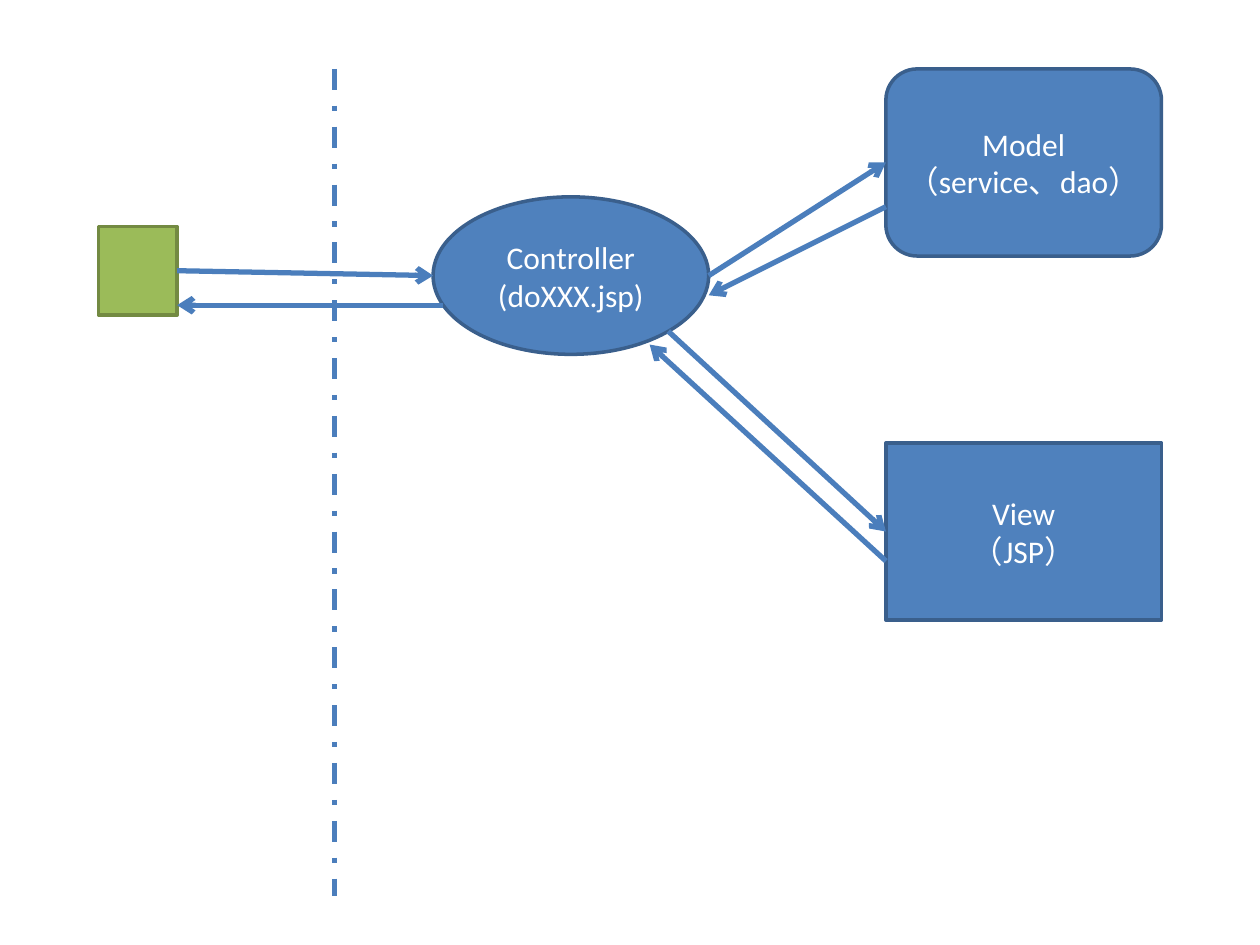
from lxml.etree import SubElement
from pptx import Presentation
from pptx.dml.color import RGBColor
from pptx.enum.dml import MSO_LINE
from pptx.enum.shapes import MSO_CONNECTOR, MSO_SHAPE
from pptx.enum.text import MSO_ANCHOR, PP_ALIGN
from pptx.oxml.ns import qn
from pptx.util import Pt

BLUE = RGBColor(0x4F, 0x81, 0xBD)
DARK_BLUE = RGBColor(0x3A, 0x5F, 0x8C)
LINE_BLUE = RGBColor(0x4B, 0x7E, 0xBC)
GREEN = RGBColor(0x9B, 0xBB, 0x59)
DARK_GREEN = RGBColor(0x73, 0x8A, 0x42)
WHITE = RGBColor(0xFF, 0xFF, 0xFF)

NODE_WIDTH = 157.5
CLIENT_RIGHT = 101.25
CONTROLLER_LEFT = 247.5
CONTROLLER_RIGHT = CONTROLLER_LEFT + NODE_WIDTH
MVC_LEFT = 506.25  # shared left edge of Model and View


def write_text(frame, lines, font="Calibri", size=18, color=WHITE,
               align=PP_ALIGN.CENTER, anchor=MSO_ANCHOR.MIDDLE):
    """Write one paragraph per line with a common format."""
    frame.word_wrap = True
    frame.vertical_anchor = anchor
    for index, line in enumerate(lines):
        paragraph = frame.add_paragraph() if index else frame.paragraphs[0]
        paragraph.alignment = align
        run = paragraph.add_run()
        run.text = line
        run.font.name = font
        run.font.size = Pt(size)
        run.font.color.rgb = color


def add_node(slide, preset, box, lines=(), fill=BLUE, outline=DARK_BLUE):
    """Add a filled, outlined component with optional text."""
    node = slide.shapes.add_shape(preset, *map(Pt, box))
    node.shadow.inherit = False
    node.fill.solid()
    node.fill.fore_color.rgb = fill
    node.line.color.rgb = outline
    node.line.width = Pt(2)
    if lines:
        write_text(node.text_frame, lines)


def add_line(slide, start, end, dash=None, arrow=True):
    """Add a straight line, with an open arrowhead at its end if wanted."""
    link = slide.shapes.add_connector(MSO_CONNECTOR.STRAIGHT,
                                      *map(Pt, (*start, *end)))
    link.line.color.rgb = LINE_BLUE
    link.line.width = Pt(3)
    if dash is not None:
        link.line.dash_style = dash
    if arrow:
        SubElement(link.line._get_or_add_ln(), qn("a:tailEnd"), type="arrow")
    SubElement(link._element.spPr, qn("a:effectLst"))


def main():
    """Build the request flow between client, controller, model and view."""
    deck = Presentation()
    deck.slide_width, deck.slide_height = Pt(720), Pt(540)
    slide = deck.slides.add_slide(deck.slide_layouts[6])

    add_node(slide, MSO_SHAPE.RECTANGLE, (56.25, 129.4, 45, 50.6),
             fill=GREEN, outline=DARK_GREEN)
    add_line(slide, (191.25, 39.4), (191.25, 511.9),
             dash=MSO_LINE.DASH_DOT, arrow=False)

    components = (
        (MSO_SHAPE.OVAL, CONTROLLER_LEFT, 112.5, 90,
         ("Controller", "(doXXX.jsp)")),
        (MSO_SHAPE.ROUNDED_RECTANGLE, MVC_LEFT, 39.4, 106.9,
         ("Model", "（service、dao）")),
        (MSO_SHAPE.RECTANGLE, MVC_LEFT, 253.1, 101.3,
         ("View", "（JSP）")),
    )
    for preset, left, top, height, lines in components:
        add_node(slide, preset, (left, top, NODE_WIDTH, height), lines)

    flows = (
        ((CLIENT_RIGHT, 154.7), (CONTROLLER_LEFT, 157.5)),
        ((CONTROLLER_RIGHT, 157.5), (MVC_LEFT, 92.8)),
        ((MVC_LEFT, 118.1), (CONTROLLER_RIGHT, 168.75)),
        ((381.9, 189.3), (MVC_LEFT, 303.75)),
        ((MVC_LEFT, 320.6), (371.25, 196.9)),
        ((253.1, 174.4), (CLIENT_RIGHT, 174.4)),
    )
    for start, end in flows:
        add_line(slide, start, end)

    deck.save("out.pptx")


main()
